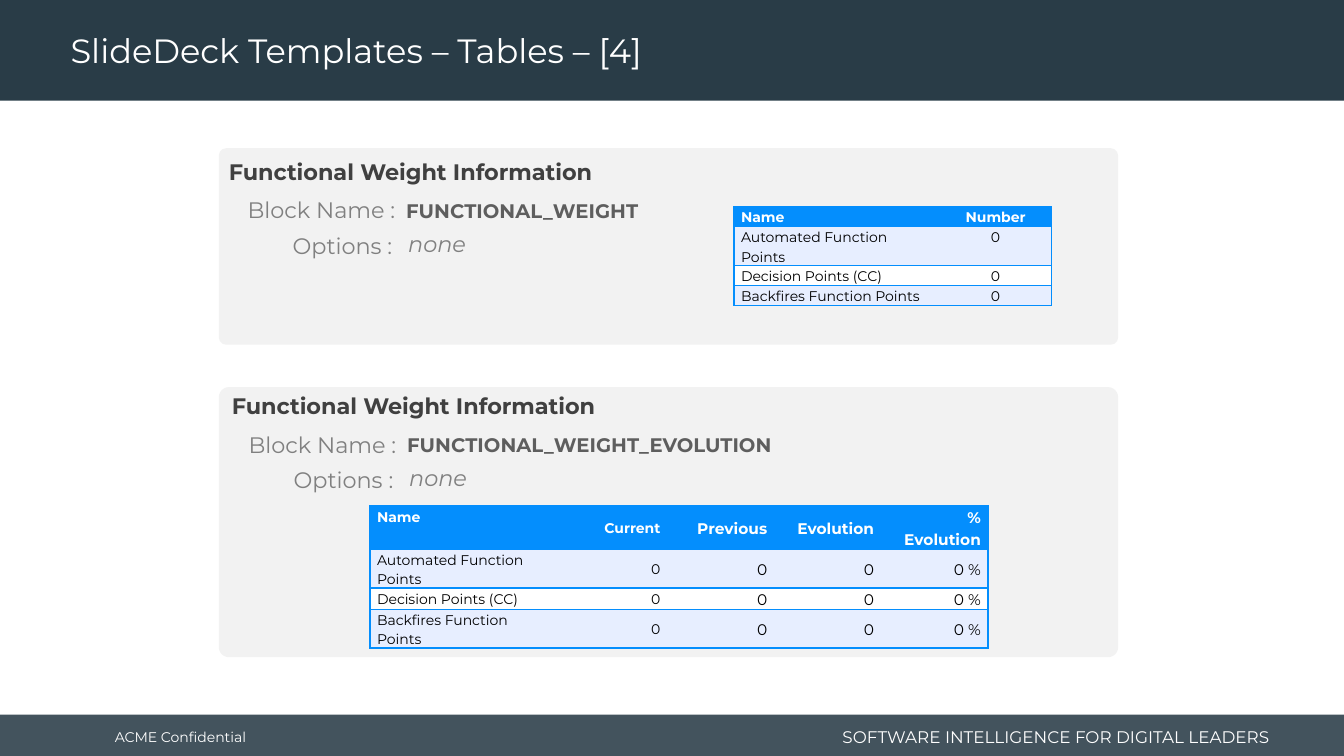
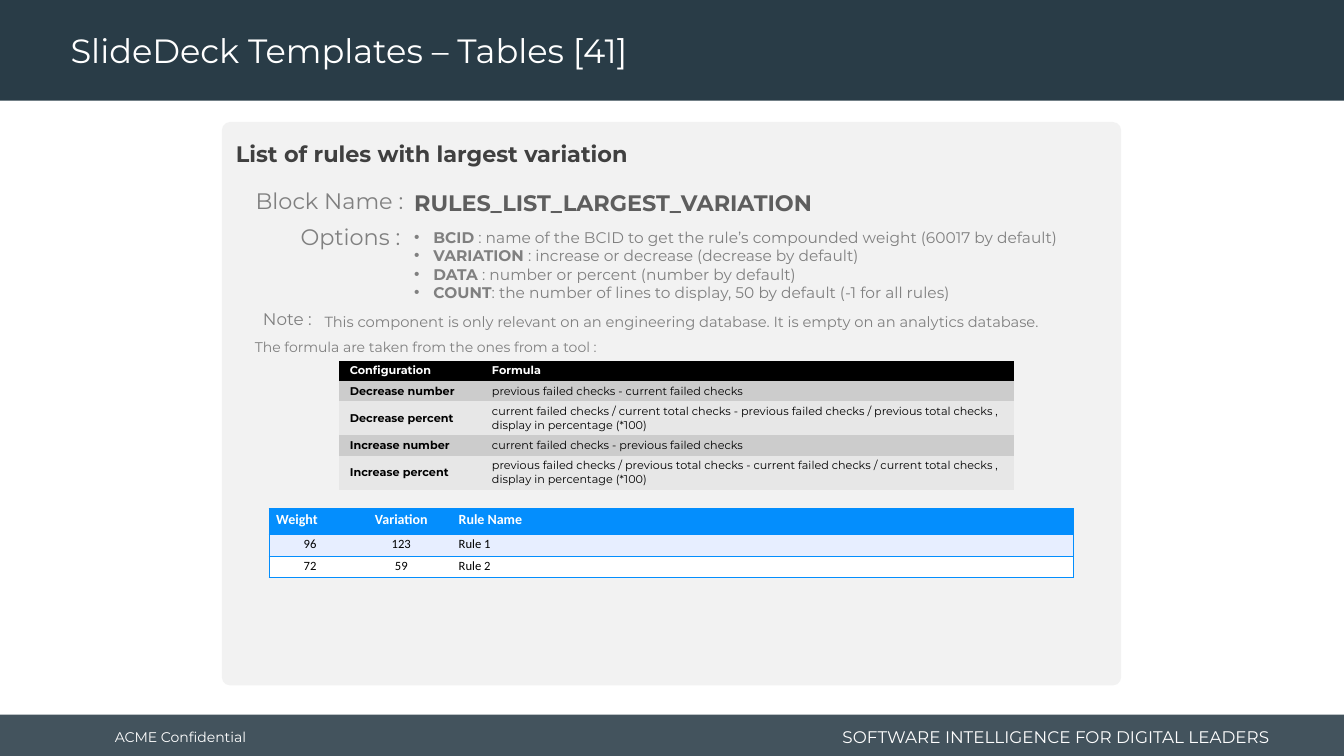
"""Build two slides documenting report table blocks and their options."""
from dataclasses import dataclass

import lxml.etree
import pptx
import pptx.dml.color
import pptx.enum.shapes
import pptx.enum.text
import pptx.oxml.ns
import pptx.util

Inches = pptx.util.Inches
RGB = pptx.dml.color.RGBColor
ALIGN = pptx.enum.text.PP_ALIGN
ANCHOR = pptx.enum.text.MSO_ANCHOR
SHAPE = pptx.enum.shapes.MSO_SHAPE
qn = pptx.oxml.ns.qn

NAVY = RGB(0x29, 0x3C, 0x47)
WHITE = RGB(0xFF, 0xFF, 0xFF)
BLACK = RGB(0, 0, 0)
PANEL = RGB(0xF2, 0xF2, 0xF2)
HEADING = RGB(0x40, 0x40, 0x40)
BLOCK = RGB(0x5E, 0x5E, 0x5E)
GREY = RGB(0x80, 0x80, 0x80)
BLUE = RGB(0x04, 0x8E, 0xFD)
PALE_BLUE = RGB(0xE7, 0xEE, 0xFF)
MID_GREY = RGB(0xCC, 0xCC, 0xCC)
LIGHT_GREY = RGB(0xE7, 0xE7, 0xE7)
FONT = "Montserrat"


@dataclass
class Column:
    """Layout of one table column."""
    width: float
    align: ALIGN = ALIGN.LEFT
    head_align: ALIGN = None
    anchor: ANCHOR = ANCHOR.TOP
    size: float = 10
    head_size: float = None
    bold: bool = False


@dataclass
class TableStyle:
    """Look of a whole table; margins are left, top, right, bottom."""
    head: RGB
    bands: tuple
    border: RGB = None
    font: str = FONT
    margins: tuple = (0.07, 0, 0.07, 0)
    spacing: float = 1.15


REPORT = TableStyle(BLUE, (PALE_BLUE, WHITE), BLUE)
RULES = TableStyle(BLUE, (PALE_BLUE, WHITE), BLUE, "Calibri")
FORMULAS = TableStyle(BLACK, (MID_GREY, LIGHT_GREY),
                      margins=(0.11, 0.03, 0.04, 0.03), spacing=1.0)

MEASURES = ["Automated Function Points", "Decision Points (CC)", "Backfires Function Points"]
OPTIONS = [
    ("BCID", " : name of the BCID to get the rule’s compounded weight (60017 by default)"),
    ("VARIATION", " : increase or decrease (decrease by default)"),
    ("DATA", " : number or percent (number by default)"),
    ("COUNT", ": the number of lines to display, 50 by default (-1 for all rules)"),
]
FIGURE = dict(align=ALIGN.RIGHT, anchor=ANCHOR.MIDDLE)

SLIDES = [
    dict(
        title="SlideDeck Templates – Tables – [4]",
        panels=[
            dict(box=(2.17, 1.47, 8.92, 1.95), radius=0.038,
                 heading="Functional Weight Information", heading_at=(2.07, 1.52),
                 block="FUNCTIONAL_WEIGHT", block_size=14, labels_at=(2.35, 1.9)),
            dict(box=(2.17, 3.84, 8.92, 2.68), radius=0.038,
                 heading="Functional Weight Information", heading_at=(2.1, 3.84),
                 block="FUNCTIONAL_WEIGHT_EVOLUTION", block_size=14, labels_at=(2.36, 4.23)),
        ],
        tables=[
            dict(at=(7.28, 2.05), style=REPORT,
                 columns=[Column(2.04), Column(1.11, ALIGN.CENTER)],
                 heights=[0.2, 0.38, 0.2, 0.2],
                 rows=[["Name", "Number"]] + [[name, "0"] for name in MEASURES]),
            dict(at=(3.67, 5.02), style=REPORT,
                 columns=[Column(1.89), Column(1.06, **FIGURE)]
                 + [Column(1.06, size=11, **FIGURE)] * 3,
                 heights=[0.43, 0.38, 0.2, 0.38],
                 rows=[["Name", "Current", "Previous", "Evolution", "% Evolution"]]
                 + [[name, "0", "0", "0", "0 %"] for name in MEASURES]),
        ],
        notes=[],
    ),
    dict(
        title="SlideDeck Templates – Tables [41]",
        panels=[
            dict(box=(2.2, 1.21, 8.92, 5.59), radius=0.015,
                 heading="List of rules with largest variation", heading_at=(2.14, 1.34),
                 block="RULES_LIST_LARGEST_VARIATION", block_size=16,
                 labels_at=(2.43, 1.81), options=OPTIONS),
        ],
        tables=[
            dict(at=(2.67, 5.05), style=RULES,
                 columns=[Column(0.81, ALIGN.CENTER, ALIGN.LEFT, size=9, head_size=10),
                          Column(1, ALIGN.CENTER, size=9, head_size=10),
                          Column(6.17, size=9, head_size=10)],
                 heights=[0.25, 0.22, 0.21],
                 rows=[["Weight", "Variation", "Rule Name"],
                       ["96", "123", "Rule 1"],
                       ["72", "59", "Rule 2"]]),
            dict(at=(3.36, 3.58), style=FORMULAS,
                 columns=[Column(1.41, anchor=ANCHOR.MIDDLE, size=8, bold=True),
                          Column(5.29, anchor=ANCHOR.MIDDLE, size=8)],
                 heights=[0.2, 0.2, 0.34, 0.2, 0.34],
                 rows=[["Configuration", "Formula"],
                       ["Decrease number", "previous failed checks - current failed checks"],
                       ["Decrease percent",
                        "current failed checks / current total checks - previous failed checks"
                        " / previous total checks , display in percentage (*100)"],
                       ["Increase number", "current failed checks - previous failed checks"],
                       ["Increase percent",
                        "previous failed checks / previous total checks - current failed checks"
                        " / current total checks , display in percentage (*100)"]]),
        ],
        notes=[
            dict(text="The formula are taken from the ones from a tool :",
                 box=(2.43, 3.31, 3.73, 0.27), size=10, anchor=ANCHOR.MIDDLE),
            dict(text="This component is only relevant on an engineering database. "
                      "It is empty on an analytics database.",
                 box=(3.12, 3.05, 7.65, 0.29), size=10.5),
            dict(text="Note :", box=(2.49, 3.01, 0.7, 0.3), size=12,
                 align=ALIGN.RIGHT, wrap=False),
        ],
    ),
]


def set_font(paragraph, size, color, bold=False, italic=False, name=FONT):
    """Format every run of a paragraph alike."""
    font = paragraph.font
    font.name, font.size, font.bold, font.italic = name, pptx.util.Pt(size), bold, italic
    font.color.rgb = color


def add_filled(slide, kind, box, color):
    """Add a plain borderless shape."""
    shape = slide.shapes.add_shape(kind, *map(Inches, box))
    shape.shadow.inherit = False
    shape.fill.solid()
    shape.fill.fore_color.rgb = color
    shape.line.fill.background()
    return shape


def add_text(slide, text, box, size, color=GREY, bold=False, italic=False,
             align=ALIGN.LEFT, anchor=ANCHOR.TOP, wrap=True, side=0.1):
    """Add a one-paragraph text box."""
    label = slide.shapes.add_textbox(*map(Inches, box))
    frame = label.text_frame
    frame.word_wrap = wrap
    frame.vertical_anchor = anchor
    frame.margin_left = frame.margin_right = Inches(side)
    frame.text = text
    frame.paragraphs[0].alignment = align
    set_font(frame.paragraphs[0], size, color, bold, italic)
    return label


def add_options(slide, options, box):
    """Add the bulleted list of block options."""
    frame = slide.shapes.add_textbox(*map(Inches, box)).text_frame
    frame.word_wrap = True
    for index, (name, meaning) in enumerate(options):
        paragraph = frame.add_paragraph() if index else frame.paragraphs[0]
        properties = paragraph._p.get_or_add_pPr()
        properties.set("marL", str(Inches(0.19)))
        properties.set("indent", str(-Inches(0.19)))
        lxml.etree.SubElement(properties, qn("a:buFont"), typeface="Arial")
        lxml.etree.SubElement(properties, qn("a:buChar"), char="•")
        set_font(paragraph, 11, GREY)
        run = paragraph.add_run()
        run.text = name
        run.font.bold = True
        paragraph.add_run().text = meaning


def add_panel(slide, box, radius, heading, heading_at, block, block_size, labels_at,
              options=None):
    """Add a rounded panel with its heading, block name and options."""
    add_filled(slide, SHAPE.ROUNDED_RECTANGLE, box, PANEL).adjustments[0] = radius
    left, top = labels_at
    add_text(slide, heading, (*heading_at, 8.91, 0.37), 16, HEADING, bold=True, side=0.2)
    add_text(slide, block, (left + 1.58, top + 0.02, 7.25, 0.37), block_size, BLOCK, bold=True)
    add_text(slide, "Block Name :", (left, top, 1.67, 0.37), 16,
             align=ALIGN.RIGHT, wrap=False)
    add_text(slide, "Options :", (left + 0.43, top + 0.35, 1.21, 0.37), 16,
             align=ALIGN.RIGHT, wrap=False)
    if options:
        add_options(slide, options, (left + 1.58, top + 0.4, 7.14, 0.84))
    else:
        add_text(slide, "none", (left + 1.6, top + 0.33, 7.25, 0.37), 16, italic=True)


def set_borders(cell, color, sides):
    """Draw the named sides of a cell and clear the others."""
    properties = cell._tc.get_or_add_tcPr()
    for index, side in enumerate("LRTB"):
        line = lxml.etree.Element(qn("a:ln" + side), w=str(pptx.util.Pt(1)))
        if color is not None and side in sides:
            fill = lxml.etree.SubElement(line, qn("a:solidFill"))
            lxml.etree.SubElement(fill, qn("a:srgbClr"), val=str(color))
        else:
            lxml.etree.SubElement(line, qn("a:noFill"))
        properties.insert(index, line)


def add_grid(slide, at, style, columns, heights, rows):
    """Add a table with a header row and alternating bands."""
    size = sum(column.width for column in columns), sum(heights)
    table = slide.shapes.add_table(len(rows), len(columns), *map(Inches, at + size)).table
    table.horz_banding = False
    for row, height in zip(table.rows, heights):
        row.height = Inches(height)
    for c, column in enumerate(columns):
        table.columns[c].width = Inches(column.width)
        sides = "TB" + "L" * (c == 0) + "R" * (c == len(columns) - 1)
        for r, texts in enumerate(rows):
            head = r == 0
            cell = table.cell(r, c)
            cell.text = texts[c]
            cell.vertical_anchor = column.anchor
            (cell.margin_left, cell.margin_top,
             cell.margin_right, cell.margin_bottom) = map(Inches, style.margins)
            cell.fill.solid()
            cell.fill.fore_color.rgb = style.head if head else style.bands[(r - 1) % 2]
            set_borders(cell, style.border, sides)
            paragraph = cell.text_frame.paragraphs[0]
            paragraph.alignment = (head and column.head_align) or column.align
            paragraph.line_spacing = style.spacing
            set_font(paragraph, (head and column.head_size) or column.size,
                     WHITE if head else BLACK, head or column.bold, name=style.font)


def add_bands(slide, layout):
    """Draw the shared bands and footer texts, then hand them to the layout."""
    footer = add_filled(slide, SHAPE.RECTANGLE, (0, 7.09, 13.33, 0.41), NAVY)
    tint = footer.fill._xPr.find(".//" + qn("a:srgbClr"))
    lxml.etree.SubElement(tint, qn("a:alpha"), val="88000")
    shared = [
        footer,
        add_filled(slide, SHAPE.RECTANGLE, (0, 0, 13.33, 1), NAVY),
        add_text(slide, "ACME Confidential", (1.04, 7.11, 1.8, 0.4), 10, WHITE,
                 anchor=ANCHOR.MIDDLE),
        add_text(slide, "SOFTWARE INTELLIGENCE FOR DIGITAL LEADERS",
                 (8.11, 7.15, 4.58, 0.32), 12, WHITE,
                 align=ALIGN.RIGHT, anchor=ANCHOR.MIDDLE),
    ]
    for part in shared:
        layout.shapes.element.append(part.element)


def set_title(slide, text):
    """Place and format the slide title."""
    title = slide.shapes.title
    title.left, title.top, title.width, title.height = map(Inches, (0.6, 0.04, 9.58, 0.96))
    frame = title.text_frame
    frame.text = text
    frame.auto_size = pptx.enum.text.MSO_AUTO_SIZE.NONE
    frame.vertical_anchor = ANCHOR.MIDDLE
    frame.paragraphs[0].alignment = ALIGN.LEFT
    frame.paragraphs[0].line_spacing = 0.9
    set_font(frame.paragraphs[0], 24, WHITE)


def main():
    """Build and save the presentation."""
    deck = pptx.Presentation()
    deck.slide_width, deck.slide_height = Inches(13.33), Inches(7.5)
    layout = deck.slide_layouts[5]
    for number, content in enumerate(SLIDES):
        slide = deck.slides.add_slide(layout)
        if number == 0:
            add_bands(slide, layout)
        set_title(slide, content["title"])
        for panel in content["panels"]:
            add_panel(slide, **panel)
        for table in content["tables"]:
            add_grid(slide, **table)
        for note in content["notes"]:
            add_text(slide, **note)
    deck.save("out.pptx")


if __name__ == "__main__":
    main()
